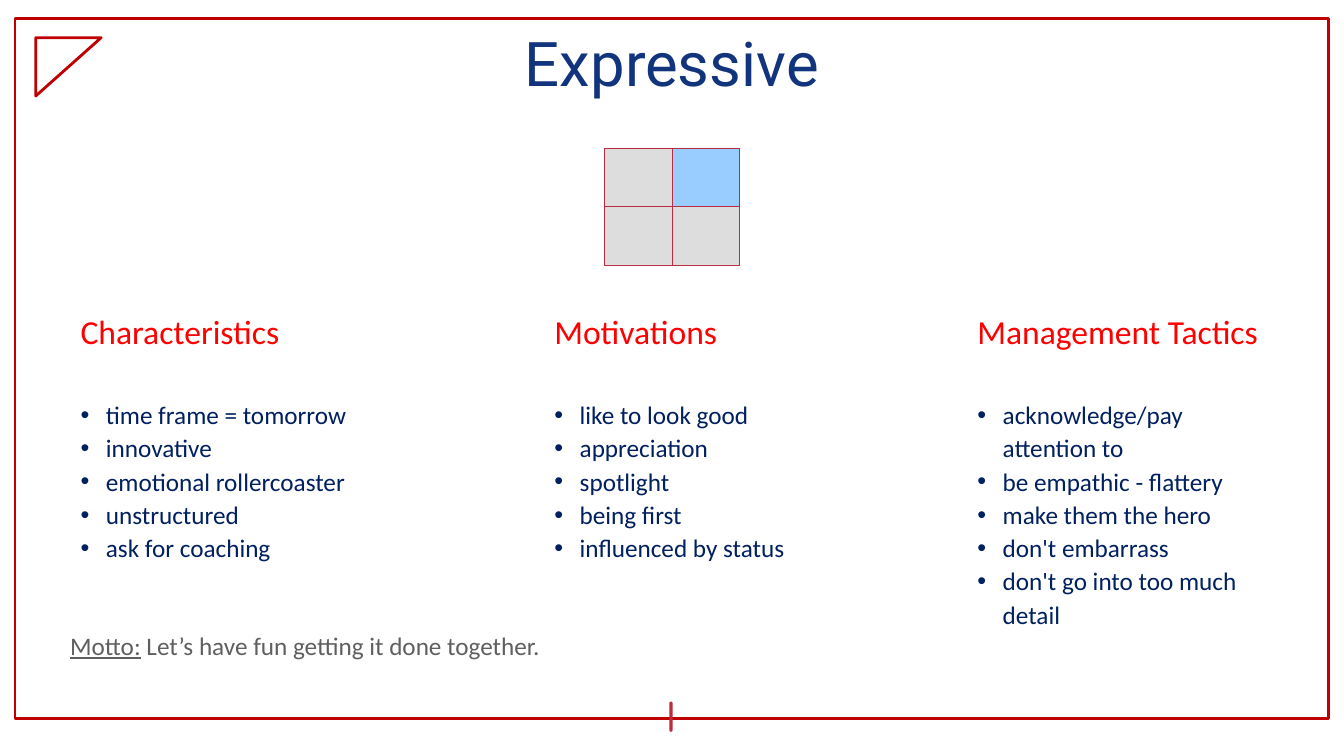
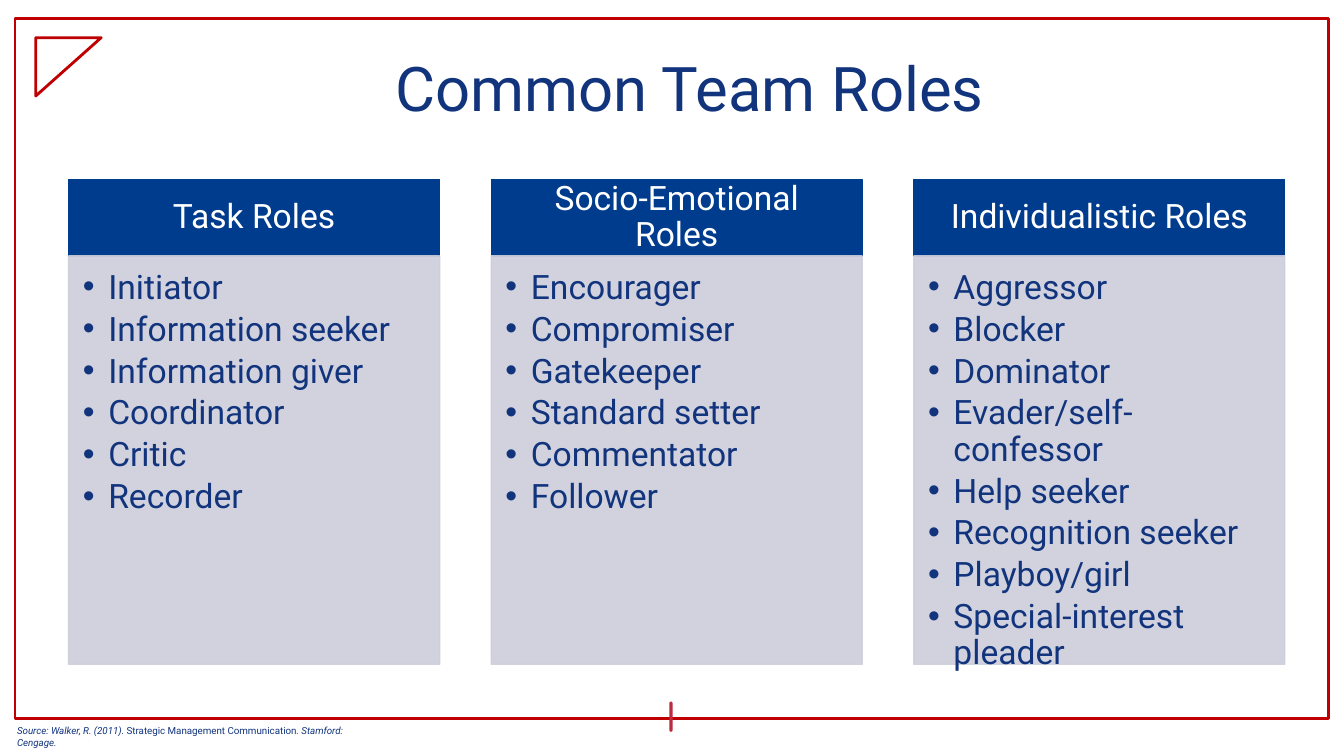
"""Build two slides on personality styles and team roles."""
from lxml import etree
from pptx import Presentation
from pptx.dml.color import RGBColor
from pptx.enum.shapes import MSO_SHAPE
from pptx.enum.text import MSO_ANCHOR, PP_ALIGN
from pptx.oxml.ns import qn
from pptx.util import Cm, Pt

RECT = MSO_SHAPE.RECTANGLE
CORNER = MSO_SHAPE.RIGHT_TRIANGLE
TICK = MSO_SHAPE.ROUND_2_DIAG_RECTANGLE
TOP, MIDDLE, BOTTOM = MSO_ANCHOR.TOP, MSO_ANCHOR.MIDDLE, MSO_ANCHOR.BOTTOM
LEFT, CENTER = PP_ALIGN.LEFT, PP_ALIGN.CENTER

RED = RGBColor(0xC0, 0x00, 0x00)
ROSE = RGBColor(0xBB, 0x2C, 0x3F)
BRIGHT = RGBColor(0xFF, 0x00, 0x00)
NAVY = RGBColor(0x11, 0x34, 0x7D)
INK = RGBColor(0x00, 0x20, 0x60)
BLUE = RGBColor(0x00, 0x3C, 0x8D)
SKY = RGBColor(0x99, 0xCC, 0xFF)
SILVER = RGBColor(0xDD, 0xDD, 0xDD)
LILAC = RGBColor(0xCC, 0xCE, 0xDB)
GRAY = RGBColor(0x5F, 0x5F, 0x5F)
WHITE = RGBColor(0xFF, 0xFF, 0xFF)
HEAD, BODY = "Roboto", "Calibri"


def draw(slide, kind, x, y, w, h, fill=None, line=None, weight=1):
    """Add a flat shape, with lengths in centimetres."""
    shape = slide.shapes.add_shape(kind, Cm(x), Cm(y), Cm(w), Cm(h))
    shape.shadow.inherit = False
    if fill is None:
        shape.fill.background()
    else:
        shape.fill.solid()
        shape.fill.fore_color.rgb = fill
    if line is None:
        shape.line.fill.background()
    else:
        shape.line.color.rgb = line
        shape.line.width = Pt(weight)
    return shape


def say(par, text, face, size, color, dot=False):
    """Add a run to a paragraph, with a hanging bullet on request."""
    if dot:
        props = par._p.get_or_add_pPr()
        props.set("marL", str(Cm(0.64)))
        props.set("indent", str(Cm(-0.64)))
        etree.SubElement(props, qn("a:buFont")).set("typeface", "Arial")
        etree.SubElement(props, qn("a:buChar")).set("char", "•")
    run = par.add_run()
    run.text = text
    run.font.name = face
    run.font.size = Pt(size)
    run.font.color.rgb = color
    return run


deck = Presentation()
deck.slide_width, deck.slide_height = Cm(33.87), Cm(19.05)
blank = deck.slide_layouts[6]

titles = [
    ("Expressive", 0.41, 33.05, 2.03, BOTTOM, 0),
    ("Common Team Roles", 1.3, 32.18, 3.68, MIDDLE, 0.13),
]
for title, x, w, h, anchor, inset in titles:
    slide = deck.slides.add_slide(blank)
    draw(slide, RECT, 0.38, 0.46, 33.1, 17.65, line=RED, weight=2)
    draw(slide, CORNER, 0.99, 0.86, 1.47, 1.65, line=RED, weight=2).rotation = 90
    tick = draw(slide, TICK, 16.87, 17.68, 0.08, 0.76, fill=ROSE)
    tick.adjustments[0] = tick.adjustments[1] = 0.5
    frame = slide.shapes.add_textbox(Cm(x), Cm(0.48), Cm(w), Cm(h)).text_frame
    frame.word_wrap = True
    frame.vertical_anchor = anchor
    frame.margin_top = frame.margin_bottom = Cm(inset)
    par = frame.paragraphs[0]
    par.alignment = CENTER
    par.line_spacing = 0.9
    say(par, title, HEAD, 44, NAVY)

style, team = deck.slides

traits = [
    ("Characteristics", 1.78, 8.05,
     ["time frame = tomorrow", "innovative", "emotional rollercoaster",
      "unstructured", "ask for coaching"]),
    ("Motivations", 13.72, 8.46,
     ["like to look good", "appreciation", "spotlight", "being first",
      "influenced by status"]),
    ("Management Tactics", 24.38, 8.15,
     ["acknowledge/pay attention to", "be empathic - flattery",
      "make them the hero", "don't embarrass",
      "don't go into too much detail"]),
]
for name, x, w, items in traits:
    frame = style.shapes.add_textbox(Cm(x), Cm(7.62), Cm(w), Cm(7.6)).text_frame
    frame.word_wrap = True
    par = frame.paragraphs[0]
    par.line_spacing = 1.1
    say(par, name, BODY, 24, BRIGHT)
    for n, item in enumerate(items):
        par = frame.add_paragraph()
        par.line_spacing = 1.1
        if n == 0:
            par.space_before = Pt(32)
        say(par, item, BODY, 18, INK, dot=True)

for col, row, fill in [(1, 1, SILVER), (0, 0, SILVER), (0, 1, SILVER), (1, 0, SKY)]:
    draw(style, RECT, 15.24 + 1.7 * col, 3.73 + 1.48 * row, 1.7, 1.48,
         fill, ROSE, 0.5)

frame = style.shapes.add_textbox(Cm(1.52), Cm(15.75), Cm(17.25), Cm(1.02)).text_frame
frame.word_wrap = True
par = frame.paragraphs[0]
say(par, "Motto:", BODY, 18, GRAY).font.underline = True
say(par, " Let’s have fun getting it done together.", BODY, 18, GRAY)

roles = [
    ("Task Roles",
     ["Initiator", "Information seeker", "Information giver", "Coordinator",
      "Critic", "Recorder"]),
    ("Socio-Emotional Roles",
     ["Encourager", "Compromiser", "Gatekeeper", "Standard setter",
      "Commentator", "Follower"]),
    ("Individualistic Roles",
     ["Aggressor", "Blocker", "Dominator", "Evader/self-confessor",
      "Help seeker", "Recognition seeker", "Playboy/girl",
      "Special-interest pleader"]),
]
for col, (name, items) in enumerate(roles):
    x = 1.73 + 10.65 * col
    frame = draw(team, RECT, x, 4.52, 9.35, 1.93, BLUE, BLUE).text_frame
    frame.vertical_anchor = MIDDLE
    frame.margin_left = frame.margin_right = Cm(0.48)
    frame.margin_top = frame.margin_bottom = Cm(0.28)
    par = frame.paragraphs[0]
    par.alignment = CENTER
    par.line_spacing = 0.9
    say(par, name, HEAD, 24, WHITE)

    panel = draw(team, RECT, x, 6.45, 9.35, 10.29, LILAC, LILAC)
    for tint in list(panel._element.spPr.iter(qn("a:srgbClr"))):
        etree.SubElement(tint, qn("a:alpha")).set("val", "90000")
    frame = panel.text_frame
    frame.vertical_anchor = TOP
    frame.margin_left = frame.margin_top = Cm(0.36)
    frame.margin_right, frame.margin_bottom = Cm(0.48), Cm(0.53)
    for n, item in enumerate(items):
        par = frame.add_paragraph() if n else frame.paragraphs[0]
        par.alignment = LEFT
        par.line_spacing = 0.9
        par.space_after = Pt(4)
        say(par, item, HEAD, 24, NAVY, dot=True)

frame = team.shapes.add_textbox(Cm(0.18), Cm(18.14), Cm(9.17), Cm(0.56)).text_frame
frame.word_wrap = True
par = frame.paragraphs[0]
source = [
    ("Source: Walker, R. (2011). ", True),
    ("Strategic Management Communication", False),
    (". Stamford: Cengage.", True),
]
for text, slant in source:
    say(par, text, HEAD, 7, NAVY).font.italic = slant

deck.save("out.pptx")
